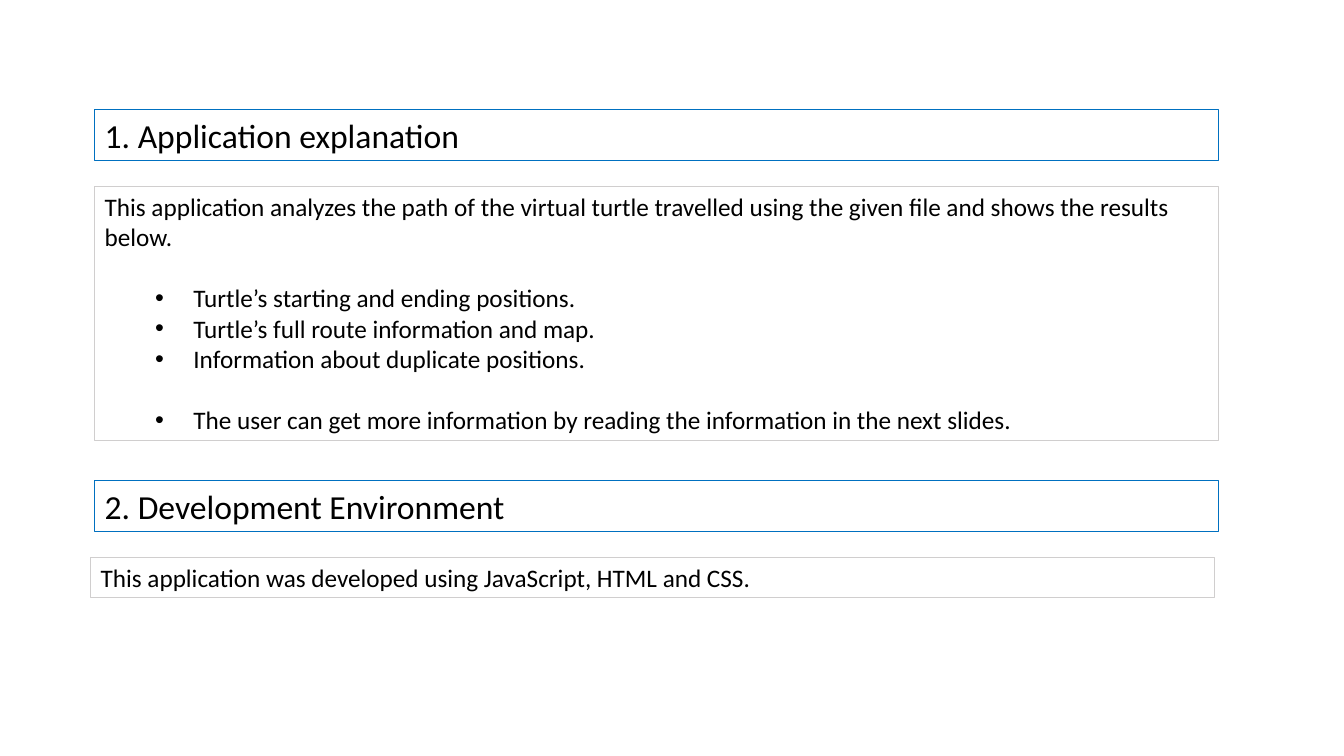
from dataclasses import dataclass

from lxml import etree
from pptx import Presentation
from pptx.dml.color import RGBColor
from pptx.enum import text
from pptx.oxml import ns
from pptx.slide import Slide
from pptx.text.text import _Paragraph
from pptx.util import Inches, Pt

COLORS = {"heading": "0070C0", "body": "D0CECE", "text": "000000"}
SIZES = {"heading": 24, "body": 18}
BOX_WIDTH = 11.15
BLANK_LINE = 22


@dataclass(frozen=True)
class Line:
    words: str
    bullet: bool = False
    gap: int = 0


@dataclass(frozen=True)
class Box:
    style: str
    left: float
    top: float
    height: float
    lines: tuple[Line, ...]


BOXES = (
    Box("heading", 0.94, 1.09, 0.5, (Line("1. Application explanation"),)),
    Box("body", 0.94, 1.85, 2.52, (
        Line("This application analyzes the path of the virtual turtle travelled "
             "using the given file and shows the results below."),
        Line("Turtle’s starting and ending positions.", True, BLANK_LINE),
        Line("Turtle’s full route information and map.", True),
        Line("Information about duplicate positions.", True),
        Line("The user can get more information by reading the information "
             "in the next slides.", True, BLANK_LINE),
    )),
    Box("heading", 0.94, 4.77, 0.5, (Line("2. Development Environment"),)),
    Box("body", 0.9, 5.53, 0.4, (
        Line("This application was developed using JavaScript, HTML and CSS."),
    )),
)


def add_bullet(paragraph: _Paragraph) -> None:
    paragraph.level = 1
    properties = paragraph._p.get_or_add_pPr()
    properties.set("marL", str(Inches(0.88)))
    properties.set("indent", str(Inches(-0.38)))
    etree.SubElement(properties, ns.qn("a:buFont"), typeface="Arial")
    etree.SubElement(properties, ns.qn("a:buChar"), char="•")


def write_line(paragraph: _Paragraph, line: Line, size: int) -> None:
    paragraph.text = line.words
    paragraph.space_before = Pt(line.gap)
    if line.bullet:
        add_bullet(paragraph)
    paragraph.font.name = "Calibri"
    paragraph.font.size = Pt(size)
    paragraph.font.color.rgb = RGBColor.from_string(COLORS["text"])


def add_box(slide: Slide, box: Box) -> None:
    shape = slide.shapes.add_textbox(
        Inches(box.left), Inches(box.top), Inches(BOX_WIDTH), Inches(box.height))
    shape.line.color.rgb = RGBColor.from_string(COLORS[box.style])
    shape.line.width = Pt(0.75)
    frame = shape.text_frame
    frame.word_wrap = True
    frame.auto_size = text.MSO_AUTO_SIZE.SHAPE_TO_FIT_TEXT
    for index, line in enumerate(box.lines):
        paragraph = frame.add_paragraph() if index else frame.paragraphs[0]
        write_line(paragraph, line, SIZES[box.style])


def main() -> None:
    presentation = Presentation()
    presentation.slide_width = Inches(13.33)
    presentation.slide_height = Inches(7.5)
    slide = presentation.slides.add_slide(presentation.slide_layouts[6])
    for box in BOXES:
        add_box(slide, box)
    presentation.save("out.pptx")


if __name__ == "__main__":
    main()
